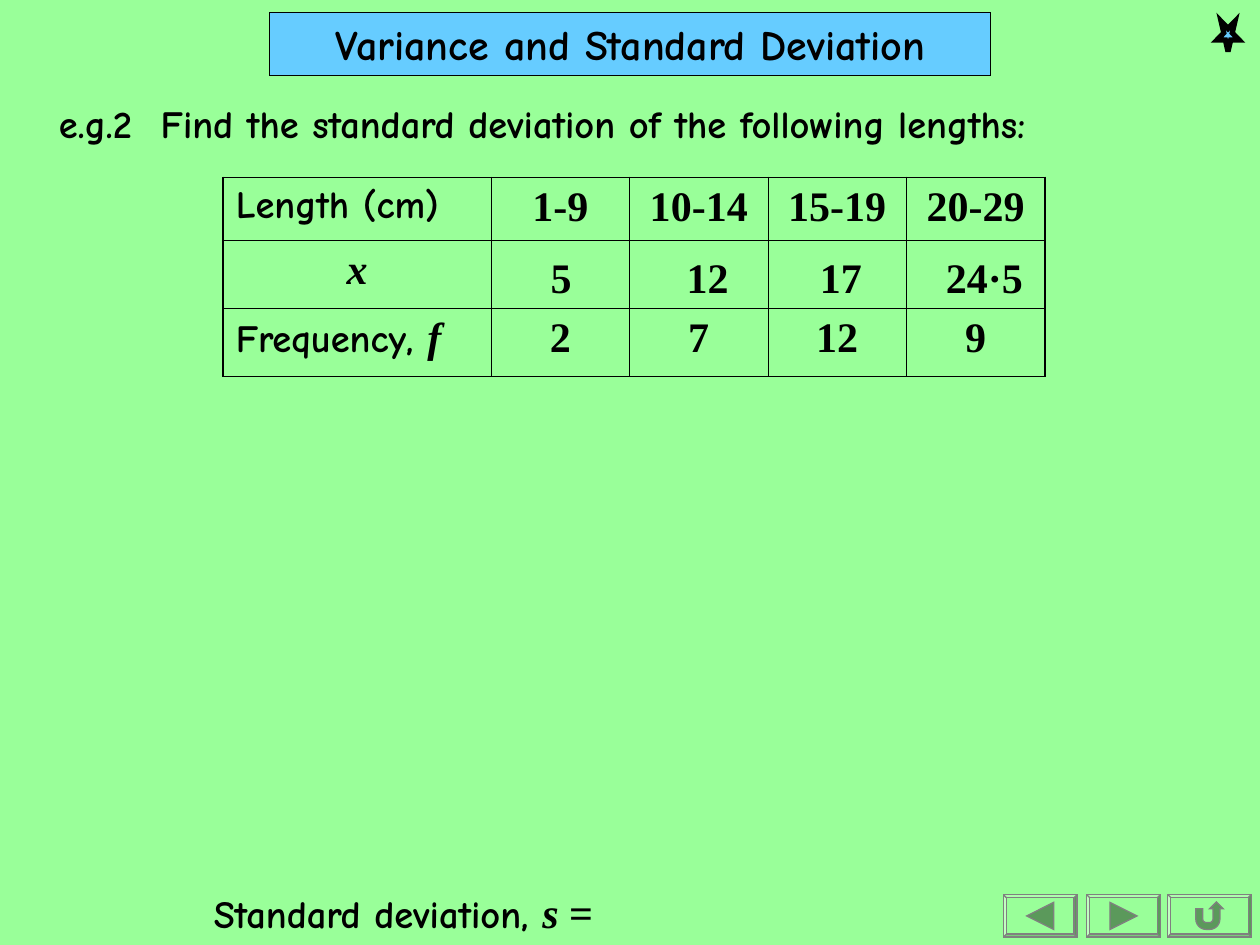
from lxml import etree
from pptx import Presentation
from pptx import util as u
from pptx.dml.color import RGBColor
from pptx.enum import shapes, text
from pptx.oxml import ns

SHAPE = shapes.MSO_SHAPE
BLACK, GREEN, BLUE, GREY = "000000", "99FF99", "66CCFF", "808080"
# name: (font, size, italic)
STYLES = {
    "heading": ("Comic Neue", 24, False),
    "label": ("Comic Neue", 22, False),
    "number": ("Times New Roman", 24, False),
    "symbol": ("Times New Roman", 24, True),
}


def color(hex_string):
    return RGBColor.from_string(hex_string)


class Builder:
    """Holds the current slide and draws each kind of element in its style."""

    thick, thin = 1.08, 0.45
    bevel = 0.06

    def __init__(self, slide):
        self.s = slide
        slide.background.fill.solid()
        slide.background.fill.fore_color.rgb = color(GREEN)

    def add_runs(self, tf, runs, align=None):
        """Fill a text frame from (text, style name) pairs."""
        p = tf.paragraphs[0]
        p.alignment = align
        for content, style in runs:
            r = p.add_run()
            r.text = content
            r.font.name, size, r.font.italic = STYLES[style]
            r.font.size = u.Pt(size)
            r.font.bold = True
            r.font.color.rgb = color(BLACK)

    def shape(self, kind, x, y, w, h, fill, line, weight=0.75):
        sp = self.s.shapes.add_shape(kind, u.Cm(x), u.Cm(y), u.Cm(w), u.Cm(h))
        sp.shadow.inherit = False
        sp.fill.solid()
        sp.fill.fore_color.rgb = color(fill)
        sp.line.color.rgb = color(line)
        sp.line.width = u.Pt(weight)
        ln = sp.element.spPr.find(ns.qn("a:ln"))
        etree.SubElement(ln, ns.qn("a:miter"), lim="800000")
        return sp

    def button(self, kind, x, y, w, h):
        """Action button set inside a narrow bevelled frame."""
        b = self.bevel
        frame = self.shape(SHAPE.BEVEL, x, y, w, h, GREEN, GREY)
        frame.adjustments[0] = b / h
        self.shape(kind, x + b, y + b, w - 2 * b, h - 2 * b, GREEN, GREY)

    def textbox(self, x, y, w, h, runs, hanging=None):
        sp = self.s.shapes.add_textbox(u.Cm(x), u.Cm(y), u.Cm(w), u.Cm(h))
        tf = sp.text_frame
        tf.word_wrap = True
        if hanging:
            pPr = tf.paragraphs[0]._p.get_or_add_pPr()
            indent = str(u.Cm(hanging))
            pPr.set("marL", indent)
            pPr.set("indent", "-" + indent)
            tabs = etree.SubElement(pPr, ns.qn("a:tabLst"))
            etree.SubElement(tabs, ns.qn("a:tab"), pos=indent, algn="l")
        self.add_runs(tf, runs)

    def border(self, cell, side, weight):
        ln = etree.SubElement(cell._tc.get_or_add_tcPr(), ns.qn("a:ln" + side),
                              w=str(u.Pt(weight)))
        fill = etree.SubElement(ln, ns.qn("a:solidFill"))
        etree.SubElement(fill, ns.qn("a:srgbClr"), val=BLACK)

    def table(self, x, y, widths, heights, rows):
        """Table with a thick outer frame; each cell is (runs, alignment)."""
        tbl = self.s.shapes.add_table(
            len(heights), len(widths), u.Cm(x), u.Cm(y),
            u.Cm(sum(widths)), u.Cm(sum(heights))).table
        tbl.first_row = tbl.horz_banding = False
        for column, width in zip(tbl.columns, widths):
            column.width = u.Cm(width)
        for row, height in zip(tbl.rows, heights):
            row.height = u.Cm(height)
        last_row, last_col = len(heights) - 1, len(widths) - 1
        for i, row in enumerate(rows):
            for j, (runs, align) in enumerate(row):
                cell = tbl.cell(i, j)
                outer = {"L": j == 0, "R": j == last_col,
                         "T": i == 0, "B": i == last_row}
                for side, is_outer in outer.items():
                    self.border(cell, side, self.thick if is_outer else self.thin)
                cell.fill.background()
                self.add_runs(cell.text_frame, runs, align)


def main():
    prs = Presentation()
    prs.slide_width, prs.slide_height = u.Cm(25.4), u.Cm(19.05)
    b = Builder(prs.slides.add_slide(prs.slide_layouts[6]))
    center, left = text.PP_ALIGN.CENTER, text.PP_ALIGN.LEFT

    b.button(SHAPE.ACTION_BUTTON_BACK_OR_PREVIOUS, 20.23, 18.04, 1.48, 0.85)
    b.button(SHAPE.ACTION_BUTTON_FORWARD_OR_NEXT, 21.91, 18.04, 1.48, 0.85)
    b.button(SHAPE.ACTION_BUTTON_RETURN, 23.54, 18.03, 1.69, 0.86)

    title = b.shape(SHAPE.RECTANGLE, 5.44, 0.25, 14.53, 1.27, BLUE, BLACK)
    title.text_frame.vertical_anchor = text.MSO_ANCHOR.MIDDLE
    b.add_runs(title.text_frame,
               [("Variance and Standard Deviation", "heading")], center)

    star = b.shape(SHAPE.STAR_5_POINT, 24.53, 0.43, 0.45, 0.61, BLUE, BLACK, 3)
    star.rotation = 180

    b.textbox(0.94, 1.9, 23.5, 1.19, [
        ("e.g.2\tFind the standard deviation of the following lengths:", "label"),
    ], hanging=2.05)

    def numbers(*values):
        return [([(value, "number")], center) for value in values]

    b.table(4.5, 3.58, [5.4] + [2.79] * 4, [1.26, 1.37, 1.37], [
        [([("Length (cm)", "label")], left),
         *numbers("1-9", "10-14", "15-19", "20-29")],
        [([("x", "symbol")], center)] + [([], center)] * 4,
        [([("Frequency, ", "label"), ("f", "symbol")], left),
         *numbers("2", "7", "12", "9")],
    ])

    b.textbox(4.06, 17.75, 9.8, 1.27, [
        ("Standard deviation, ", "label"), ("s", "symbol"), (" =", "number")])

    midpoints = [("5", 10.85, 0.94), ("12", 13.59, 1.57),
                 ("17", 16.28, 1.57), ("24·5", 18.82, 2.16)]
    for value, x, width in midpoints:
        b.textbox(x, 4.95, width, 1.27, [(value, "number")])

    prs.save("out.pptx")


if __name__ == "__main__":
    main()
